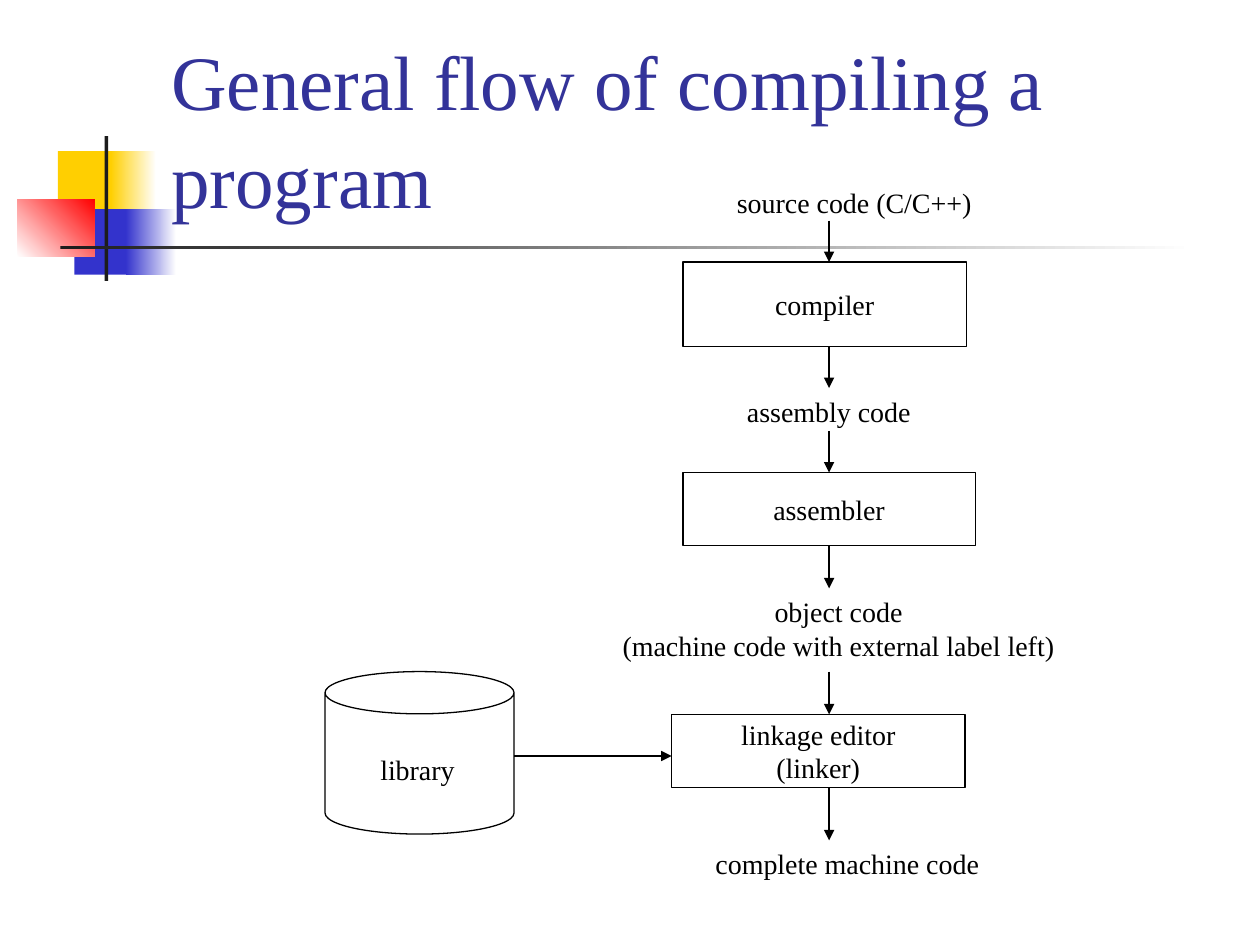
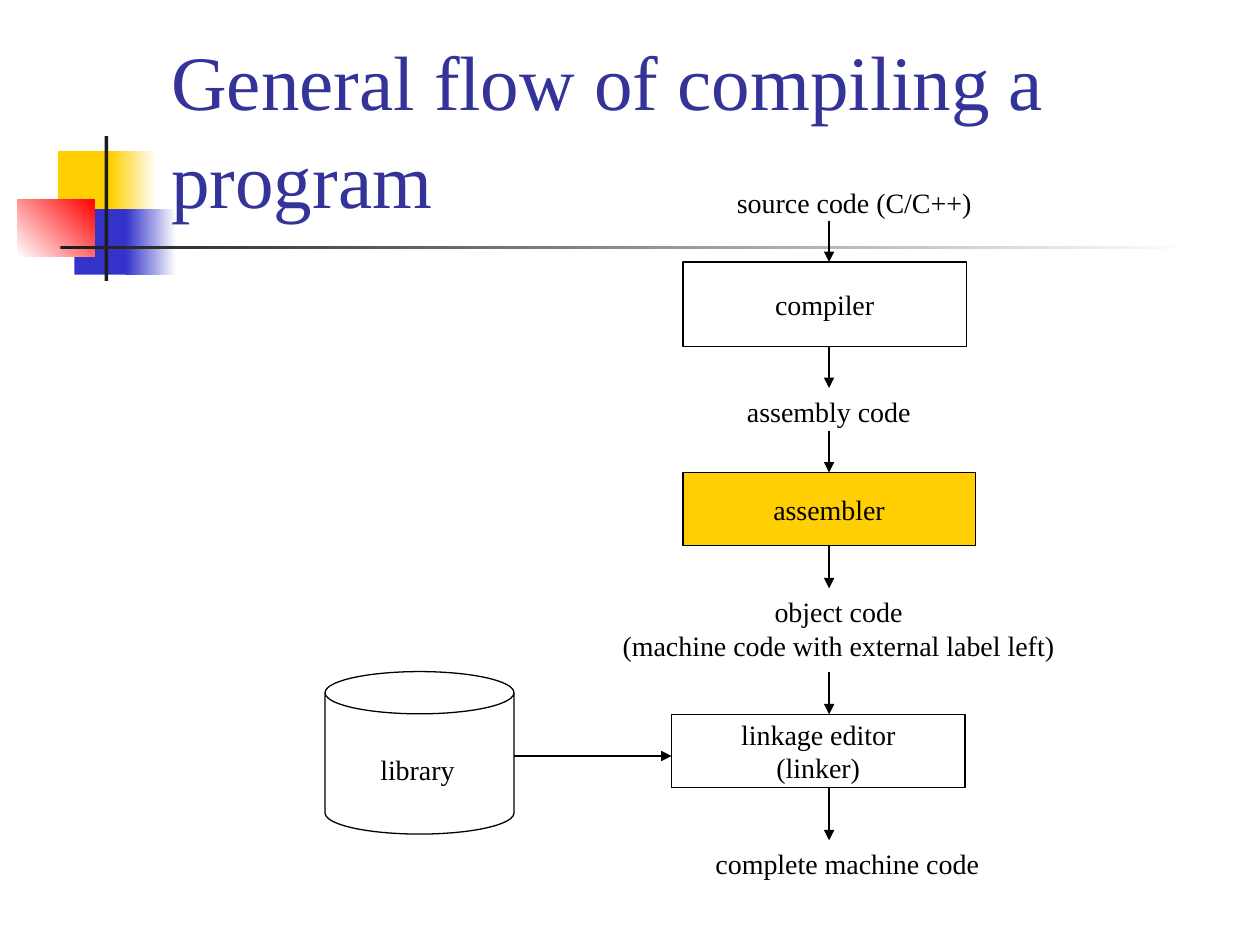
from dataclasses import dataclass

from pptx import Presentation, util as u
from pptx.dml.color import RGBColor
from pptx.enum import shapes, text
from pptx.oxml import ns, parse_xml


@dataclass(frozen=True)
class Theme:
    font: str = "Times New Roman"
    title_size: int = 44
    label_size: int = 16
    line_width: float = 0.75
    title: str = "333399"
    ink: str = "000000"
    bar: str = "1C1C1C"
    yellow: str = "FFCF01"
    blue: str = "3333CC"
    red: str = "FF0000"
    white: str = "FFFFFF"


T = Theme()
TITLE = "General flow of compiling a program"
TITLE_BOX = (1.26, 0.23, 8.52, 1.6)
BAND_ORIGIN = (0.14, 1.08)
FLOW_ORIGIN = (4.83, 1.42)
LIBRARY_BOX = (2.58, 5.33, 1.5, 1.29)


def rgb(color):
    return RGBColor.from_string(color)


def inches(*values):
    return [u.Inches(v) for v in values]


def write(sp, words, size=T.label_size, color=T.ink, align=text.PP_ALIGN.LEFT,
          anchor=text.MSO_ANCHOR.TOP, wrap=False, spacing=None,
          fit=text.MSO_AUTO_SIZE.NONE):
    tf = sp.text_frame
    tf.text = words
    tf.word_wrap = wrap
    tf.auto_size = fit
    tf.vertical_anchor = anchor
    for p in tf.paragraphs:
        p.alignment = align
        p.line_spacing = spacing
        for r in p.runs:
            r.font.name = T.font
            r.font.size = u.Pt(size)
            r.font.color.rgb = rgb(color)


def add_block(s, kind, box, fill=None, end=None, angle=0, line=None):
    sp = s.shapes.add_shape(kind, *inches(*box))
    sp.shadow.inherit = False
    if end:
        sp.fill.gradient()
        sp.fill.gradient_angle = angle
        for stop, color in zip(sp.fill.gradient_stops, (fill, end)):
            stop.color.rgb = rgb(color)
    elif fill:
        sp.fill.solid()
        sp.fill.fore_color.rgb = rgb(fill)
    else:
        sp.fill.background()
    if line:
        sp.line.color.rgb = rgb(line)
        sp.line.width = u.Pt(T.line_width)
    else:
        sp.line.fill.background()
    return sp


def add_label(s, box, words, align=text.PP_ALIGN.LEFT):
    sp = s.shapes.add_textbox(*inches(*box))
    write(sp, words, align=align, fit=text.MSO_AUTO_SIZE.SHAPE_TO_FIT_TEXT)


def add_arrow(s, x1, y1, x2, y2):
    c = s.shapes.add_connector(shapes.MSO_CONNECTOR.STRAIGHT,
                               *inches(x1, y1, x2, y2))
    c.line.color.rgb = rgb(T.ink)
    c.line.width = u.Pt(T.line_width)
    props = c.element.spPr
    props.find(ns.qn("a:ln")).append(
        parse_xml(f'<a:tailEnd {ns.nsdecls("a")} type="triangle"/>'))
    props.append(parse_xml(f'<a:effectLst {ns.nsdecls("a")}/>'))
    return c


def add_band(s, layout, left, top):
    parts = [
        ((0.32, 0.12, 0.48, 0.52), T.yellow, None, 0),
        ((0.74, 0.12, 0.36, 0.52), T.yellow, T.white, 0),
        ((0.45, 0.58, 0.46, 0.52), T.blue, None, 0),
        ((0.86, 0.58, 0.4, 0.52), T.blue, T.white, 0),
        ((0, 0.5, 0.61, 0.46), T.white, T.red, 45),
        ((0.69, 0, 0.03, 1.15), T.bar, None, 0),
        ((0.34, 0.87, 9, 0.03), T.bar, T.white, 0),
    ]
    for i, ((x, y, w, h), fill, end, angle) in enumerate(parts):
        sp = add_block(s, shapes.MSO_SHAPE.RECTANGLE,
                       (left + x, top + y, w, h), fill, end, angle)
        layout.shapes.element.insert(2 + i, sp.element)


def place_title(layout, left, top, width, height):
    sp = layout.placeholders[0]
    sp.left, sp.top, sp.width, sp.height = inches(left, top, width, height)


def add_flow(s, left, top, assembler_fill=None):
    axis = left + 1.75
    labels = [
        ((0.92, 0, 2.07, 0.37), "source code (C/C++)"),
        ((1, 1.66, 1.51, 0.37), "assembly code"),
        ((0, 3.25, 3.65, 0.64),
         "object code\n(machine code with external label left)"),
        ((0.75, 5.25, 2.31, 0.37), "complete machine code"),
    ]
    for (x, y, w, h), words in labels:
        align = text.PP_ALIGN.CENTER if "\n" in words else text.PP_ALIGN.LEFT
        add_label(s, (left + x, top + y, w, h), words, align)

    tools = [
        ((0.59, 0.66, 2.25, 0.67), "compiler", None),
        ((0.59, 2.33, 2.32, 0.58), "assembler", assembler_fill),
        ((0.5, 4.25, 2.33, 0.58), "linkage editor\n(linker)", None),
    ]
    blocks = []
    for (x, y, w, h), words, fill in tools:
        sp = add_block(s, shapes.MSO_SHAPE.RECTANGLE,
                       (left + x, top + y, w, h), fill, line=T.ink)
        write(sp, words, align=text.PP_ALIGN.CENTER,
              anchor=text.MSO_ANCHOR.MIDDLE)
        blocks.append(sp)

    spans = [(0.33, 0.66), (1.33, 1.66), (2, 2.33),
             (2.91, 3.25), (3.91, 4.25), (4.83, 5.25)]
    arrows = [add_arrow(s, axis, top + y1, axis, top + y2) for y1, y2 in spans]
    assembler = blocks[1]
    arrows[2].end_connect(assembler, 0)
    arrows[3].begin_connect(assembler, 2)


def add_library(s, left, top, width, height):
    sp = add_block(s, shapes.MSO_SHAPE.CAN, (left, top, width, height),
                   line=T.ink)
    sp.adjustments[0] = 0.26
    add_label(s, (left + 0.34, top + 0.59, 0.8, 0.37), "library")
    y = top + 0.67
    add_arrow(s, left + width, y, left + width + 1.25, y)


def build_flow_slide(s, assembler_fill=None):
    write(s.shapes.title, TITLE, size=T.title_size, color=T.title,
          anchor=text.MSO_ANCHOR.BOTTOM, wrap=True, spacing=1.06)
    add_flow(s, *FLOW_ORIGIN, assembler_fill)
    add_library(s, *LIBRARY_BOX)


def main():
    prs = Presentation()
    prs.slide_width, prs.slide_height = inches(10, 7.5)
    layout = prs.slide_layouts[5]
    place_title(layout, *TITLE_BOX)
    for i, assembler_fill in enumerate((None, T.yellow)):
        s = prs.slides.add_slide(layout)
        if i == 0:
            add_band(s, layout, *BAND_ORIGIN)
        build_flow_slide(s, assembler_fill)
    prs.save("out.pptx")


if __name__ == "__main__":
    main()
